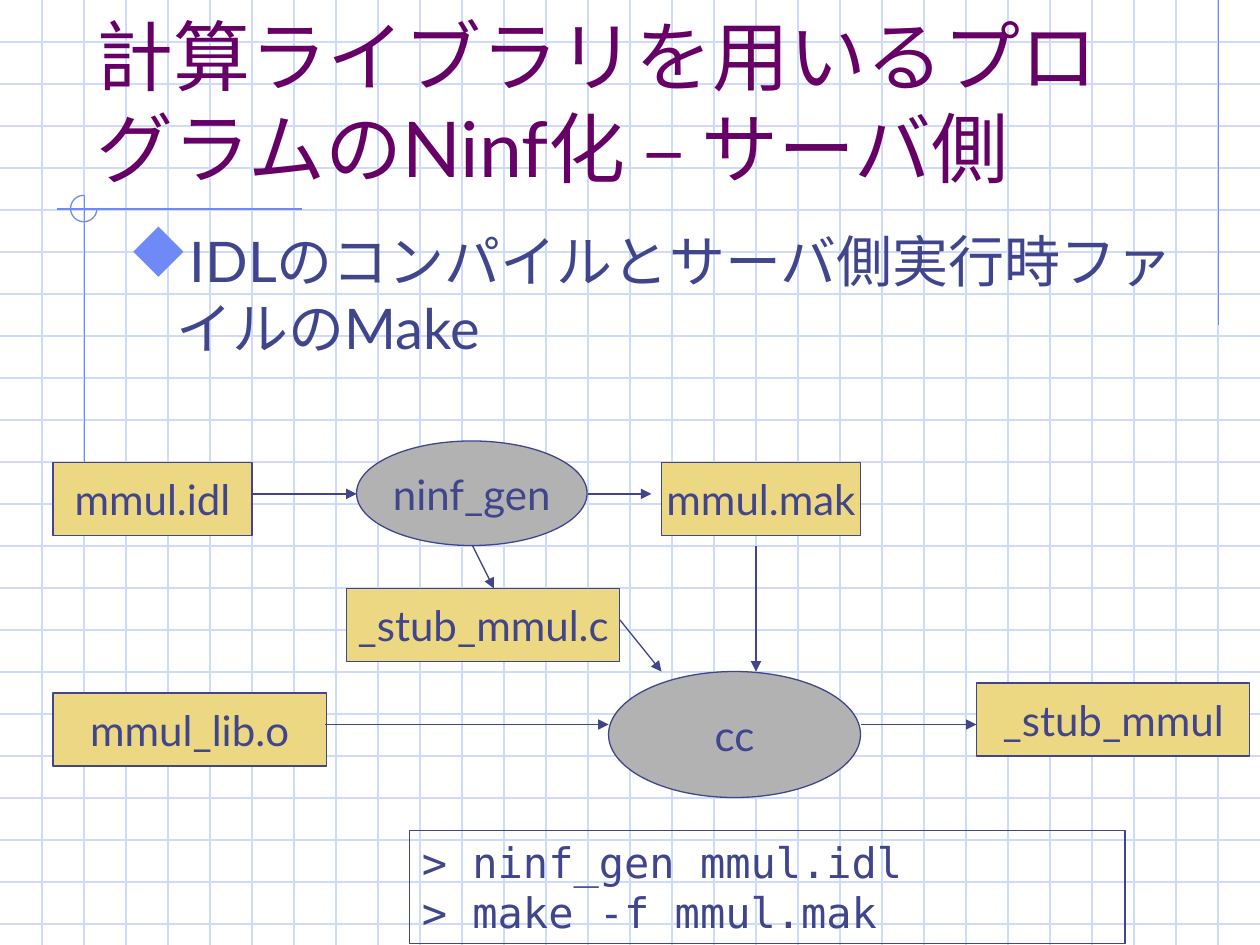
from lxml import etree
from pptx import Presentation
from pptx.dml.color import RGBColor
from pptx.enum.shapes import MSO_CONNECTOR, MSO_SHAPE
from pptx.enum.text import MSO_ANCHOR, PP_ALIGN
from pptx.oxml.ns import qn
from pptx.util import Inches, Pt

STRAIGHT = MSO_CONNECTOR.STRAIGHT
RECT, ELLIPSE, ARC = MSO_SHAPE.RECTANGLE, MSO_SHAPE.OVAL, MSO_SHAPE.ARC
TOP, MIDDLE, BOTTOM = MSO_ANCHOR.TOP, MSO_ANCHOR.MIDDLE, MSO_ANCHOR.BOTTOM
LEFT, CENTER = PP_ALIGN.LEFT, PP_ALIGN.CENTER

COLORS = {"grid": "CFDBFD", "accent": "6F89F7", "title": "660066",
          "ink": "40458C", "file": "ECD882", "tool": "B2B2B2"}
SANS, MONO, SYMBOLS = "Lato", "DejaVu Sans Mono", "Wingdings"
DIAMOND = "u"  # the symbol font draws this letter as a solid diamond
WIDTH, HEIGHT = 10, 7.5
GRID_STEP = 1 / 3


def rgb(name):
    return RGBColor.from_string(COLORS[name])


def add_bullet(para, char, color, percent, indent):
    props = para._p.get_or_add_pPr()
    props.set("marL", str(Inches(indent)))
    props.set("indent", str(-Inches(indent)))
    tint = etree.SubElement(props, qn("a:buClr"))
    etree.SubElement(tint, qn("a:srgbClr"), val=COLORS[color])
    etree.SubElement(props, qn("a:buSzPct"), val=str(percent * 1000))
    etree.SubElement(props, qn("a:buFont"), typeface=SYMBOLS,
                     pitchFamily="2", charset="2")
    etree.SubElement(props, qn("a:buChar"), char=char)


def write_text(shape, text, size=24, font=SANS, color="ink", align=LEFT,
               anchor=TOP, wrap=True, bullet=None):
    frame = shape.text_frame
    frame.word_wrap = wrap
    frame.vertical_anchor = anchor
    for index, line in enumerate(text.split("\n")):
        para = frame.paragraphs[0] if index == 0 else frame.add_paragraph()
        para.alignment = align
        if bullet:
            add_bullet(para, bullet, "accent", 110, 0.38)
        span = para.add_run()
        span.text = line
        span.font.size = Pt(size)
        span.font.name = font
        span.font.color.rgb = rgb(color)


def add_line(page, start, end, color="ink", arrow=False):
    line = page.shapes.add_connector(
        STRAIGHT, *(Inches(value) for value in (*start, *end)))
    line.line.color.rgb = rgb(color)
    line.line.width = Pt(0.75)
    if arrow:
        etree.SubElement(line.line._get_or_add_ln(), qn("a:tailEnd"), type="triangle")
    etree.SubElement(line._element.spPr, qn("a:effectLst"))


def add_shape(page, kind, box, fill=None, outline="ink"):
    shape = page.shapes.add_shape(kind, *(Inches(value) for value in box))
    shape.shadow.inherit = False
    if fill:
        shape.fill.solid()
        shape.fill.fore_color.rgb = rgb(fill)
    else:
        shape.fill.background()
    shape.line.color.rgb = rgb(outline)
    shape.line.width = Pt(0.75)
    return shape


def draw_background(page, width, height):
    # Graph paper
    for row in range(1, round(height / GRID_STEP + 0.5)):
        y = row * GRID_STEP
        add_line(page, (0, y), (width, y), "grid")
    for column in range(1, round(width / GRID_STEP)):
        x = column * GRID_STEP
        add_line(page, (x, 0), (x, height), "grid")
    # Accent lines with a three-quarter ring where they cross
    add_line(page, (9.67, 0), (9.67, 2.58), "accent")
    add_line(page, (2.4, 1.66), (0.45, 1.66), "accent")
    add_line(page, (0.67, 1.55), (0.67, 4.09), "accent")
    ring = add_shape(page, ARC, (0.56, 1.55, 0.21, 0.21), outline="accent")
    ring.adjustments[0] = 0
    ring.adjustments[1] = 162


def draw_text_box(page, box, text, **style):
    shape = page.shapes.add_textbox(*(Inches(value) for value in box))
    write_text(shape, text, **style)


def draw_commands(page, box):
    shape = add_shape(page, RECT, box)
    write_text(shape, "> ninf_gen mmul.idl\n> make -f mmul.mak", font=MONO)


def draw_flow(page, left, top):
    """Place the build flow, with all offsets taken from its top left corner."""
    short, long, tall = 1.58, 2.17, 0.58
    nodes = [
        ("mmul.idl", RECT, "file", (0, 0.17, short, tall)),
        ("ninf_gen", ELLIPSE, "tool", (2.41, 0, 1.83, 0.83)),
        ("mmul.mak", RECT, "file", (4.83, 0.17, short, tall)),
        ("_stub_mmul.c", RECT, "file", (2.33, 1.17, long, tall)),
        ("mmul_lib.o", RECT, "file", (0, 2, long, tall)),
        ("cc", ELLIPSE, "tool", (4.41, 1.83, 2, 1)),
        ("_stub_mmul", RECT, "file", (7.33, 1.92, long, tall)),
    ]
    arrows = [
        ((1.58, 0.42), (2.41, 0.42)),  # mmul.idl to ninf_gen
        ((4.25, 0.42), (4.75, 0.42)),  # ninf_gen to mmul.mak
        ((3.33, 0.83), (3.5, 1.17)),   # ninf_gen to _stub_mmul.c
        ((2.16, 2.25), (4.41, 2.25)),  # mmul_lib.o to cc
        ((4.5, 1.42), (4.83, 1.83)),   # _stub_mmul.c to cc
        ((5.58, 0.83), (5.58, 1.83)),  # mmul.mak to cc
        ((6.41, 2.25), (7.33, 2.25)),  # cc to _stub_mmul
    ]
    for label, kind, fill, (x, y, width, height) in nodes:
        shape = add_shape(page, kind, (left + x, top + y, width, height), fill)
        write_text(shape, label, align=CENTER, anchor=MIDDLE, wrap=False)
    for start, end in arrows:
        add_line(page, (left + start[0], top + start[1]),
                 (left + end[0], top + end[1]), arrow=True)


def main():
    deck = Presentation()
    deck.slide_width, deck.slide_height = Inches(WIDTH), Inches(HEIGHT)
    page = deck.slides.add_slide(deck.slide_layouts[6])
    draw_background(page, WIDTH, HEIGHT)
    draw_text_box(page, (0.67, 0.33, 8.5, 1.25),
                  "計算ライブラリを用いるプログラムのNinf化 – サーバ側",
                  size=44, color="title", anchor=BOTTOM)
    draw_text_box(page, (0.92, 1.75, 8.5, 1.25),
                  "IDLのコンパイルとサーバ側実行時ファイルのMake",
                  size=32, bullet=DIAMOND)
    draw_commands(page, (3.25, 6.59, 5.68, 0.9))
    draw_flow(page, 0.42, 3.5)
    deck.save("out.pptx")


if __name__ == "__main__":
    main()
